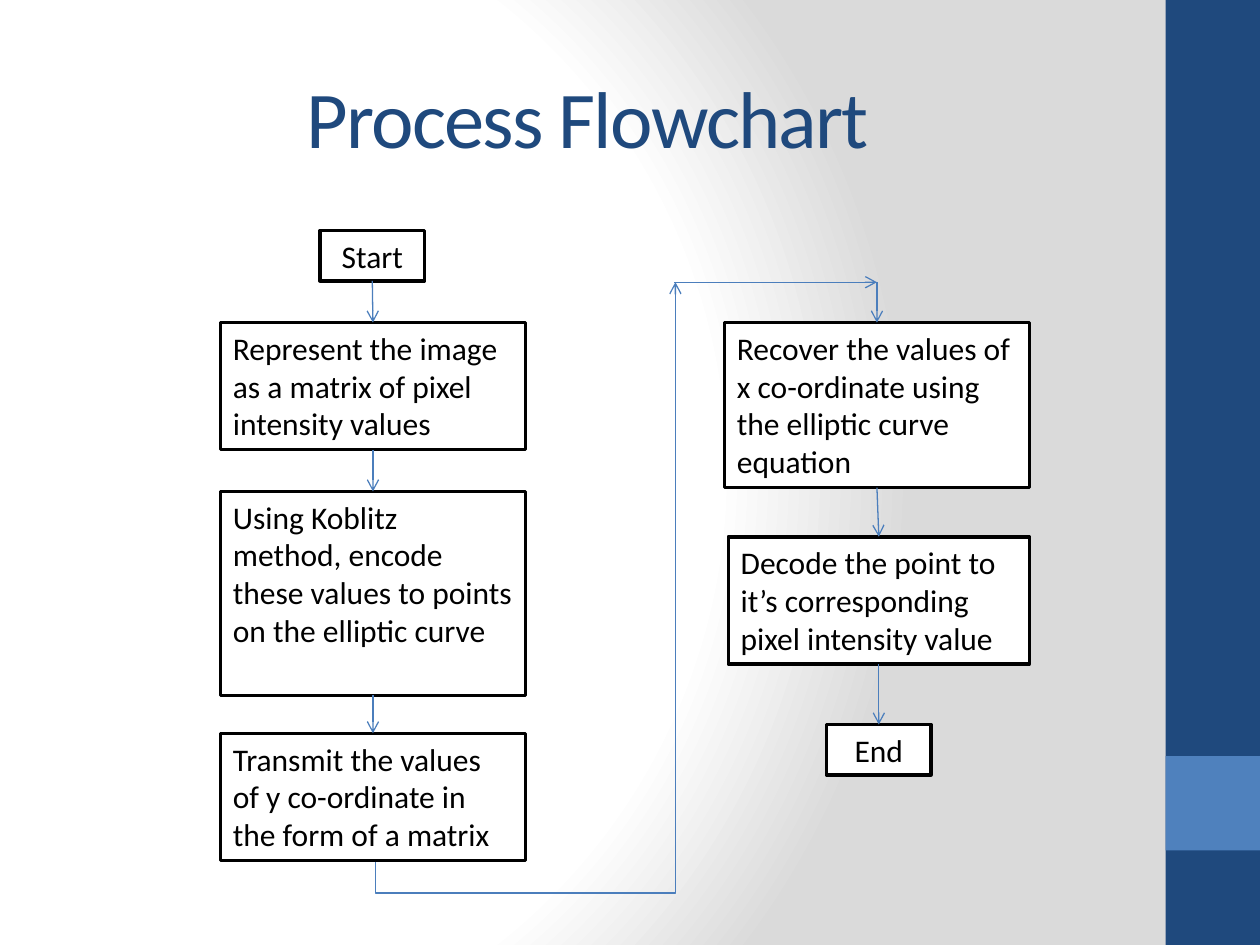
from dataclasses import dataclass

from lxml.etree import SubElement
from pptx import Presentation
from pptx.dml.color import RGBColor
from pptx.enum.shapes import MSO_CONNECTOR, MSO_SHAPE
from pptx.enum.text import MSO_ANCHOR, PP_ALIGN
from pptx.oxml import parse_xml
from pptx.oxml.ns import qn
from pptx.util import Inches, Pt


@dataclass(frozen=True)
class Theme:
    navy: str = "1F497D"
    blue: str = "4F81BD"
    arrow: str = "4B7EBC"
    white: str = "FFFFFF"
    gray: str = "DADADA"
    black: str = "000000"
    font: str = "Calibri"
    head: int = 46
    body: int = 18
    edge: float = 2
    thin: float = 0.75


THEME = Theme()
COL_A, COL_B = 1.75, 5.75
WIDE, SMALL = 2.42, 0.83
TOP, LEAD = 2.56, 2.24
TURN = 5.35


def color(code):
    return RGBColor.from_string(code)


def paint(slide):
    """Fill the background with a radial gradient."""
    slide.background.fill.gradient()
    old = slide.element.find(".//" + qn("a:gradFill"))
    stops = [(0, THEME.white), (75, THEME.white), (100, THEME.gray)]
    marks = "".join(
        f'<a:gs pos="{pos * 1000}"><a:srgbClr val="{code}"/></a:gs>'
        for pos, code in stops
    )
    new = parse_xml(
        '<a:gradFill xmlns:a="http://schemas.openxmlformats.org/drawingml/2006/main"'
        f' rotWithShape="1"><a:gsLst>{marks}</a:gsLst><a:path path="circle">'
        '<a:fillToRect l="20000" t="50000" r="100000" b="50000"/>'
        "</a:path></a:gradFill>"
    )
    old.getparent().replace(old, new)


def add_rect(slide, x, y, w, h, fill):
    rect = slide.shapes.add_shape(
        MSO_SHAPE.RECTANGLE, Inches(x), Inches(y), Inches(w), Inches(h)
    )
    rect.shadow.inherit = False
    rect.fill.solid()
    rect.fill.fore_color.rgb = color(fill)
    rect.line.fill.background()
    return rect


def write(shape, text, size, ink, align, anchor):
    frame = shape.text_frame
    frame.word_wrap = True
    frame.vertical_anchor = anchor
    frame.text = text
    para = frame.paragraphs[0]
    para.alignment = align
    font = para.runs[0].font
    font.name, font.size = THEME.font, Pt(size)
    font.color.rgb = color(ink)
    return font


def add_title(slide, text):
    box = slide.shapes.add_textbox(
        Inches(0.5), Inches(0.3), Inches(8.33), Inches(1.25)
    )
    write(box, text, THEME.head, THEME.navy, PP_ALIGN.CENTER, MSO_ANCHOR.MIDDLE)
    props = box.text_frame.paragraphs[0].runs[0]._r.get_or_add_rPr()
    props.set("spc", "-100")


def add_step(slide, text, x, y, w, h, align=PP_ALIGN.LEFT):
    step = add_rect(slide, x, y, w, h, THEME.white)
    step.line.color.rgb = color(THEME.black)
    step.line.width = Pt(THEME.edge)
    write(step, text, THEME.body, THEME.black, align, MSO_ANCHOR.TOP)
    return step


def add_arrow(slide, start=(0, 0), end=(0, 0), src=None, dst=None,
              kind=MSO_CONNECTOR.STRAIGHT):
    """Draw an arrow; src joins at its bottom, dst at its top."""
    points = [Inches(v) for v in (*start, *end)]
    arrow = slide.shapes.add_connector(kind, *points)
    if src is not None:
        arrow.begin_connect(src, 2)
    if dst is not None:
        arrow.end_connect(dst, 0)
    arrow.line.color.rgb = color(THEME.arrow)
    arrow.line.width = Pt(THEME.thin)
    SubElement(arrow.line._get_or_add_ln(), qn("a:tailEnd"), type="arrow")
    SubElement(arrow._element.spPr, qn("a:effectLst"))
    return arrow


def add_bend(slide):
    """Lead from under the last left step up to the right column."""
    bend = add_arrow(slide, (6.47, 5.73), (1.87, 3.35), kind=MSO_CONNECTOR.ELBOW)
    props = bend._element.spPr
    props.find(qn("a:xfrm")).set("rot", "5400000")
    shape = props.find(qn("a:prstGeom"))
    guides = shape.find(qn("a:avLst"))
    if guides is None:
        guides = SubElement(shape, qn("a:avLst"))
    SubElement(guides, qn("a:gd"), name="adj1", fmla="val -5400")


def main():
    deck = Presentation()
    deck.slide_width, deck.slide_height = Inches(10), Inches(7.5)
    slide = deck.slides.add_slide(deck.slide_layouts[6])

    # Background, side band and title
    paint(slide)
    add_rect(slide, 9.25, 0, 0.75, 7.5, THEME.navy)
    add_rect(slide, 9.25, 6, 0.75, 0.75, THEME.blue)
    add_title(slide, "Process Flowchart")

    # Steps of each column, top to bottom
    mid = PP_ALIGN.CENTER
    left = [
        ("Start", 2.54, 1.83, SMALL, 0.4, mid),
        ("Represent the image as a matrix of pixel intensity values",
         COL_A, TOP, WIDE, 1.01),
        ("Using Koblitz method, encode these values to points on the "
         "elliptic curve", COL_A, 3.9, WIDE, 1.62),
        ("Transmit the values of y co-ordinate in the form of a matrix",
         COL_A, 5.82, WIDE, 1.01),
    ]
    right = [
        ("Recover the values of x co-ordinate using the elliptic curve "
         "equation", COL_B, TOP, WIDE, 1.31),
        ("Decode the point to it’s corresponding pixel intensity value",
         5.78, 4.26, 2.39, 1.01),
        ("End", 6.56, 5.75, SMALL, 0.4, mid),
    ]
    flows = [[add_step(slide, *step) for step in flow] for flow in (left, right)]

    # Arrows within the columns
    for flow in flows:
        for src, dst in zip(flow, flow[1:]):
            add_arrow(slide, src=src, dst=dst)

    # Path from the left column to the right one
    entry = (COL_B + WIDE / 2, LEAD)
    add_bend(slide)
    add_arrow(slide, (TURN, LEAD), entry)
    add_arrow(slide, entry, dst=flows[1][0])

    deck.save("out.pptx")


if __name__ == "__main__":
    main()
